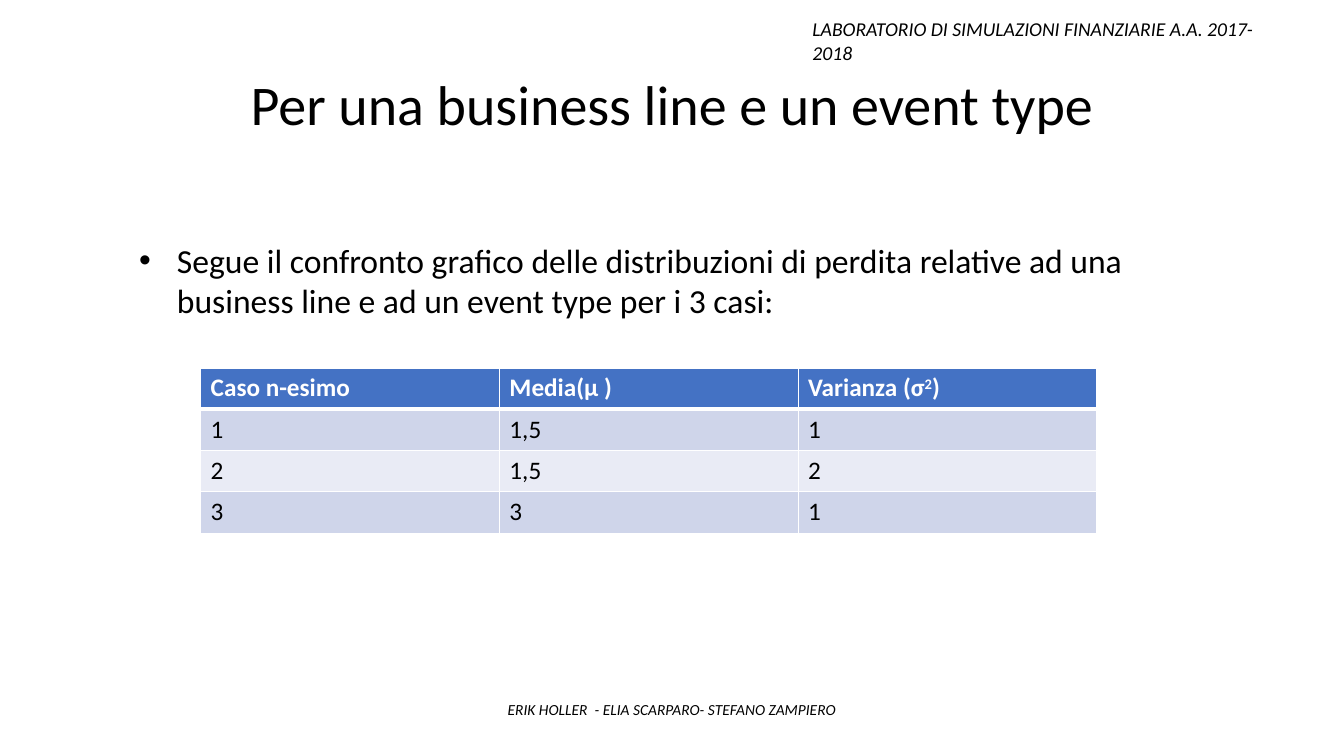
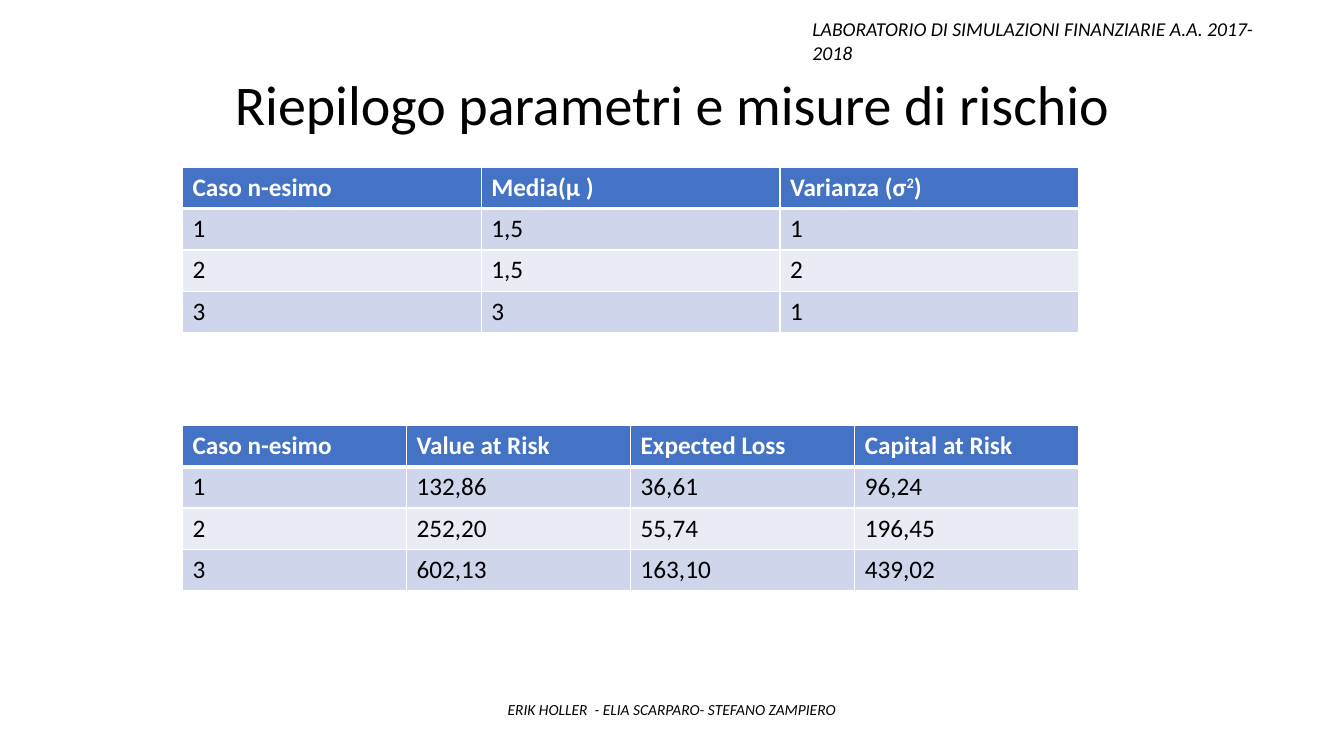
from pptx import Presentation
from pptx.dml.color import RGBColor
from pptx.enum.text import MSO_ANCHOR, PP_ALIGN
from pptx.oxml.ns import qn
from pptx.util import Inches, Pt
from lxml.etree import SubElement

FONT = "Calibri"
BLACK, WHITE = "000000", "FFFFFF"
HEAD_FILL, BAND_FILLS = "4472C4", ("CFD5EA", "E9EBF5")
TITLE_ONLY, TITLE_AND_BODY = 5, 1

COURSE = "LABORATORIO DI SIMULAZIONI FINANZIARIE A.A. 2017-2018"
AUTHORS = "ERIK HOLLER  - ELIA SCARPARO- STEFANO ZAMPIERO"

# In a tuple, every second piece is superscript.
PARAMETERS = [
    ("Caso n-esimo", "Media(μ )", ("Varianza (σ", "2", ")")),
    ("1", "1,5", "1"),
    ("2", "1,5", "2"),
    ("3", "3", "1"),
]
RISK_MEASURES = [
    ("Caso n-esimo", "Value at Risk", "Expected Loss", "Capital at Risk"),
    ("1", "132,86", "36,61", "96,24"),
    ("2", "252,20", "55,74", "196,45"),
    ("3", "602,13", "163,10", "439,02"),
]
SLIDES = [
    {
        "title": "Per una business line e un event type",
        "body": "Segue il confronto grafico delle distribuzioni di perdita "
                "relative ad una business line e ad un event type per i 3 casi:",
        "tables": [(1.99, 3.65, PARAMETERS)],
    },
    {
        "title": "Riepilogo parametri e misure di rischio",
        "tables": [(1.81, 1.66, PARAMETERS), (1.81, 4.22, RISK_MEASURES)],
    },
]

TITLE_BOX = (1.81, 0.64, 9.71, 0.77)
BODY_BOX = (1.28, 2.33, 10.76, 1.31)
COURSE_BOX = (7.96, 0.12, 4.9, 0.34)
AUTHORS_BOX = (1.28, 6.9, 10.77, 0.29)
TABLE_WIDTH, ROW_HEIGHT = 8.89, 0.41


def rgb(color):
    """Turn a hex string into a colour."""
    return RGBColor.from_string(color)


def write(tf, text, size, color=BLACK, bold=False, italic=False,
          align=PP_ALIGN.LEFT):
    """Fill a text frame with one formatted paragraph."""
    tf.word_wrap = True
    p = tf.paragraphs[0]
    p.alignment = align
    p.space_before = Pt(0)
    pieces = (text,) if isinstance(text, str) else text
    for i, piece in enumerate(pieces):
        r = p.add_run()
        r.text = piece
        font = r.font
        font.name, font.size = FONT, Pt(size)
        font.bold, font.italic = bold, italic
        font.color.rgb = rgb(color)
        if i % 2:
            r._r.get_or_add_rPr().set("baseline", "30000")


def fill_placeholder(sp, box, text, size, anchor, **fmt):
    """Move a template placeholder and write its text."""
    sp.left, sp.top, sp.width, sp.height = map(Inches, box)
    sp.text_frame.vertical_anchor = anchor
    write(sp.text_frame, text, size, **fmt)


def add_text(s, box, text, size, **fmt):
    """Add a text box."""
    sp = s.shapes.add_textbox(*map(Inches, box))
    write(sp.text_frame, text, size, **fmt)


def set_borders(cell, **widths):
    """Draw white cell borders; widths in points by side (L, R, T, B)."""
    tcPr = cell._tc.get_or_add_tcPr()
    for side, width in widths.items():
        ln = SubElement(tcPr, qn(f"a:ln{side}"), w=str(Pt(width)))
        SubElement(SubElement(ln, qn("a:solidFill")), qn("a:srgbClr"), val=WHITE)


def add_data_table(s, left, top, rows):
    """Add a banded table with equal columns and a blue heading row."""
    n_rows, n_cols = len(rows), len(rows[0])
    table = s.shapes.add_table(
        n_rows, n_cols, Inches(left), Inches(top),
        Inches(TABLE_WIDTH), Inches(ROW_HEIGHT * n_rows)).table
    for col in table.columns:
        col.width = Inches(TABLE_WIDTH / n_cols)
    for i, row in enumerate(rows):
        table.rows[i].height = Inches(ROW_HEIGHT)
        heading = i == 0
        for j, text in enumerate(row):
            cell = table.cell(i, j)
            set_borders(cell, L=1, R=1, T=3 if i == 1 else 1,
                        B=3 if heading else 1)
            cell.fill.solid()
            cell.fill.fore_color.rgb = rgb(
                HEAD_FILL if heading else BAND_FILLS[(i - 1) % 2])
            write(cell.text_frame, text, 18, bold=heading,
                  color=WHITE if heading else BLACK)


def add_slide(prs, title, tables, body=None):
    """Build one slide with the shared title, course line and authors."""
    layout = TITLE_AND_BODY if body else TITLE_ONLY
    s = prs.slides.add_slide(prs.slide_layouts[layout])
    fill_placeholder(s.shapes.title, TITLE_BOX, title, 40, MSO_ANCHOR.MIDDLE,
                     align=PP_ALIGN.CENTER)
    if body:
        fill_placeholder(s.placeholders[1], BODY_BOX, body, 24, MSO_ANCHOR.TOP)
    add_text(s, COURSE_BOX, COURSE, 14, italic=True)
    add_text(s, AUTHORS_BOX, AUTHORS, 11, italic=True, align=PP_ALIGN.CENTER)
    for left, top, rows in tables:
        add_data_table(s, left, top, rows)


prs = Presentation()
prs.slide_width, prs.slide_height = Inches(13.33), Inches(7.5)
for content in SLIDES:
    add_slide(prs, **content)
prs.save("out.pptx")
